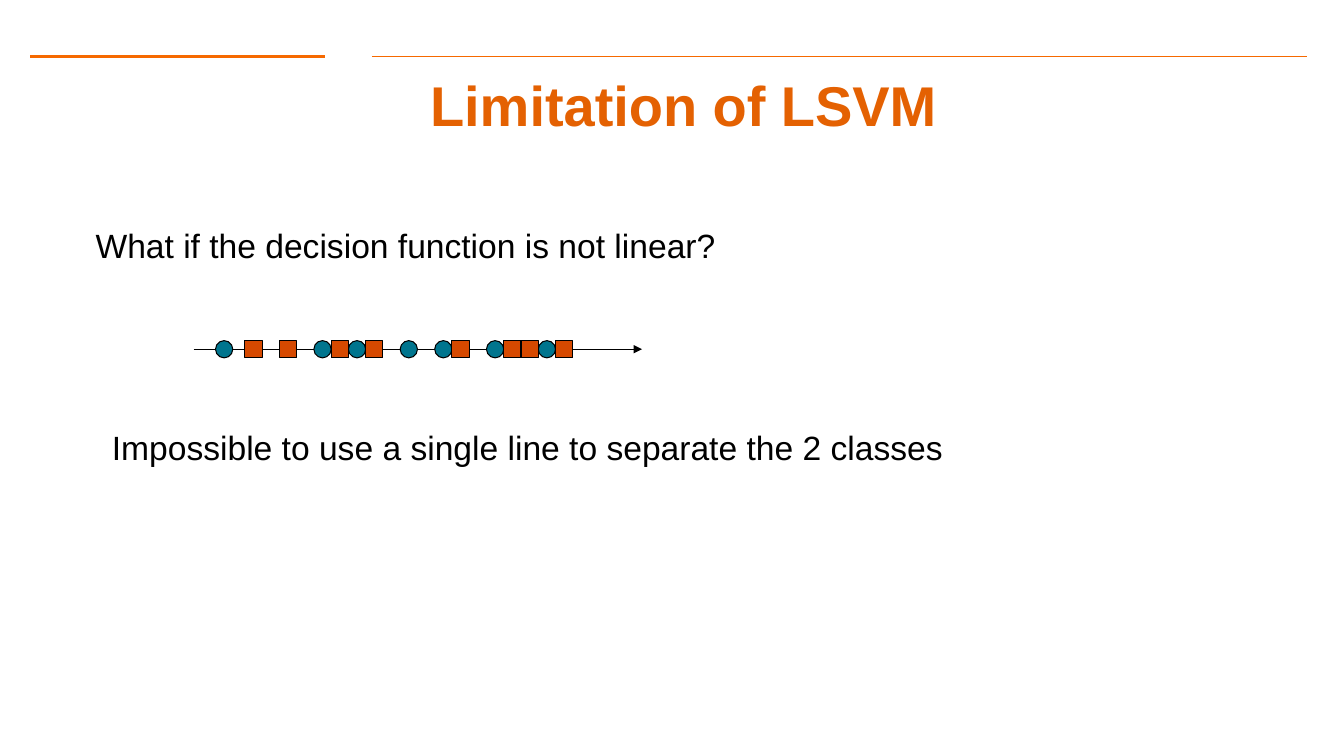
from lxml.etree import SubElement
from pptx import Presentation
from pptx.dml.color import RGBColor
from pptx.enum.shapes import MSO_CONNECTOR, MSO_SHAPE
from pptx.enum.text import MSO_ANCHOR, MSO_AUTO_SIZE, PP_ALIGN
from pptx.oxml.ns import qn
from pptx.util import Cm, Pt

RULE_ORANGE = RGBColor(0xF6, 0x69, 0x00)
TITLE_ORANGE = RGBColor(0xE4, 0x61, 0x02)
CLASS_TEAL = RGBColor(0x00, 0x75, 0x8E)
CLASS_ORANGE = RGBColor(0xD6, 0x49, 0x00)
BLACK = RGBColor(0x00, 0x00, 0x00)

# Number line, in centimetres; markers sit on numbered slots
AXIS_Y = 8.8
FIRST_SLOT, LAST_SLOT, LAST_NUMBER = 6.17, 14.0, 18
MARKER = (LAST_SLOT - FIRST_SLOT) / LAST_NUMBER
CIRCLE_SLOTS = (-1.7, 4, 6, 9, 11, 14, 17)
SQUARE_SLOTS = (0, 2, 5, 7, 12, 15, 16, 18)


class SlideBuilder:
    font = "Arial"
    outline = Pt(0.75)

    def __init__(self, slide):
        self.slide = slide

    def span(self, para, text, size, color, bold=False):
        span = para.add_run()
        span.text = text
        span.font.name = self.font
        span.font.size = Pt(size)
        span.font.bold = bold
        span.font.color.rgb = color

    def title(self, text, left, top, width, height, inset):
        box = self.slide.shapes.title
        box.left, box.top, box.width, box.height = map(Cm, (left, top, width, height))
        frame = box.text_frame
        frame.auto_size = MSO_AUTO_SIZE.NONE
        frame.word_wrap = True
        frame.vertical_anchor = MSO_ANCHOR.MIDDLE
        frame.margin_left = frame.margin_right = Cm(inset)
        frame.margin_top = frame.margin_bottom = Cm(inset)
        para = frame.paragraphs[0]
        para.alignment = PP_ALIGN.CENTER
        self.span(para, text, 40, TITLE_ORANGE, bold=True)

    def text(self, text, left, top, width, height):
        box = self.slide.shapes.add_textbox(*map(Cm, (left, top, width, height)))
        frame = box.text_frame
        frame.word_wrap = True
        frame.auto_size = MSO_AUTO_SIZE.SHAPE_TO_FIT_TEXT
        self.span(frame.paragraphs[0], text, 24, BLACK)

    def line(self, shapes, start, end, y, color, width, arrow=False):
        line = shapes.add_connector(
            MSO_CONNECTOR.STRAIGHT, Cm(start), Cm(y), Cm(end), Cm(y))
        line.line.color.rgb = color
        line.line.width = width
        if arrow:
            SubElement(line.line._get_or_add_ln(), qn("a:tailEnd"), type="triangle")
        SubElement(line._element.spPr, qn("a:effectLst"))

    def marker(self, shapes, kind, slot, color):
        left = FIRST_SLOT + slot * MARKER
        top = AXIS_Y - MARKER / 2
        marker = shapes.add_shape(kind, Cm(left), Cm(top), Cm(MARKER), Cm(MARKER))
        marker.shadow.inherit = False
        marker.fill.solid()
        marker.fill.fore_color.rgb = color
        marker.line.color.rgb = BLACK
        marker.line.width = self.outline

    def number_line(self):
        shapes = self.slide.shapes.add_group_shape().shapes
        self.line(shapes, 4.88, 16.18, AXIS_Y, BLACK, self.outline, arrow=True)
        for kind, slots, color in (
            (MSO_SHAPE.OVAL, CIRCLE_SLOTS, CLASS_TEAL),
            (MSO_SHAPE.RECTANGLE, SQUARE_SLOTS, CLASS_ORANGE),
        ):
            for slot in slots:
                self.marker(shapes, kind, slot, color)


def main():
    deck = Presentation()
    deck.slide_width, deck.slide_height = Cm(33.87), Cm(19.05)
    page = deck.slides.add_slide(deck.slide_layouts[5])
    builder = SlideBuilder(page)

    # Header rules and title
    builder.line(page.shapes, 0.76, 8.18, 1.42, RULE_ORANGE, Pt(2))
    builder.line(page.shapes, 9.37, 32.94, 1.42, RULE_ORANGE, Pt(1))
    builder.title("Limitation of LSVM", 1.98, 1.93, 30.48, 1.4, inset=0.33)

    # Question, mixed classes on one axis, conclusion
    builder.text("What if the decision function is not linear?", 2.16, 5.54, 18.06, 1.27)
    builder.number_line()
    builder.text("Impossible to use a single line to separate the 2 classes",
                 2.57, 10.64, 21.77, 1.27)

    deck.save("out.pptx")


if __name__ == "__main__":
    main()
